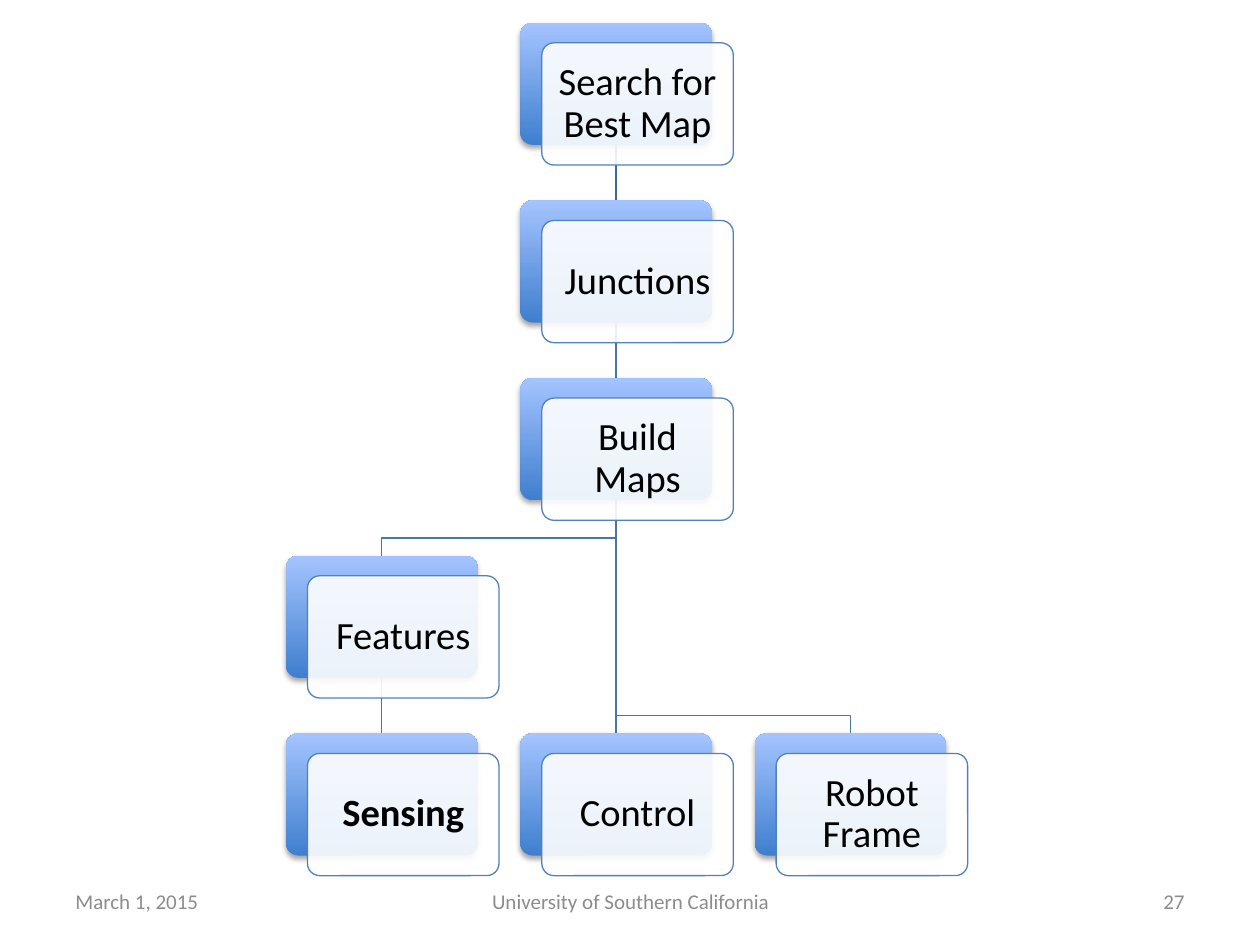
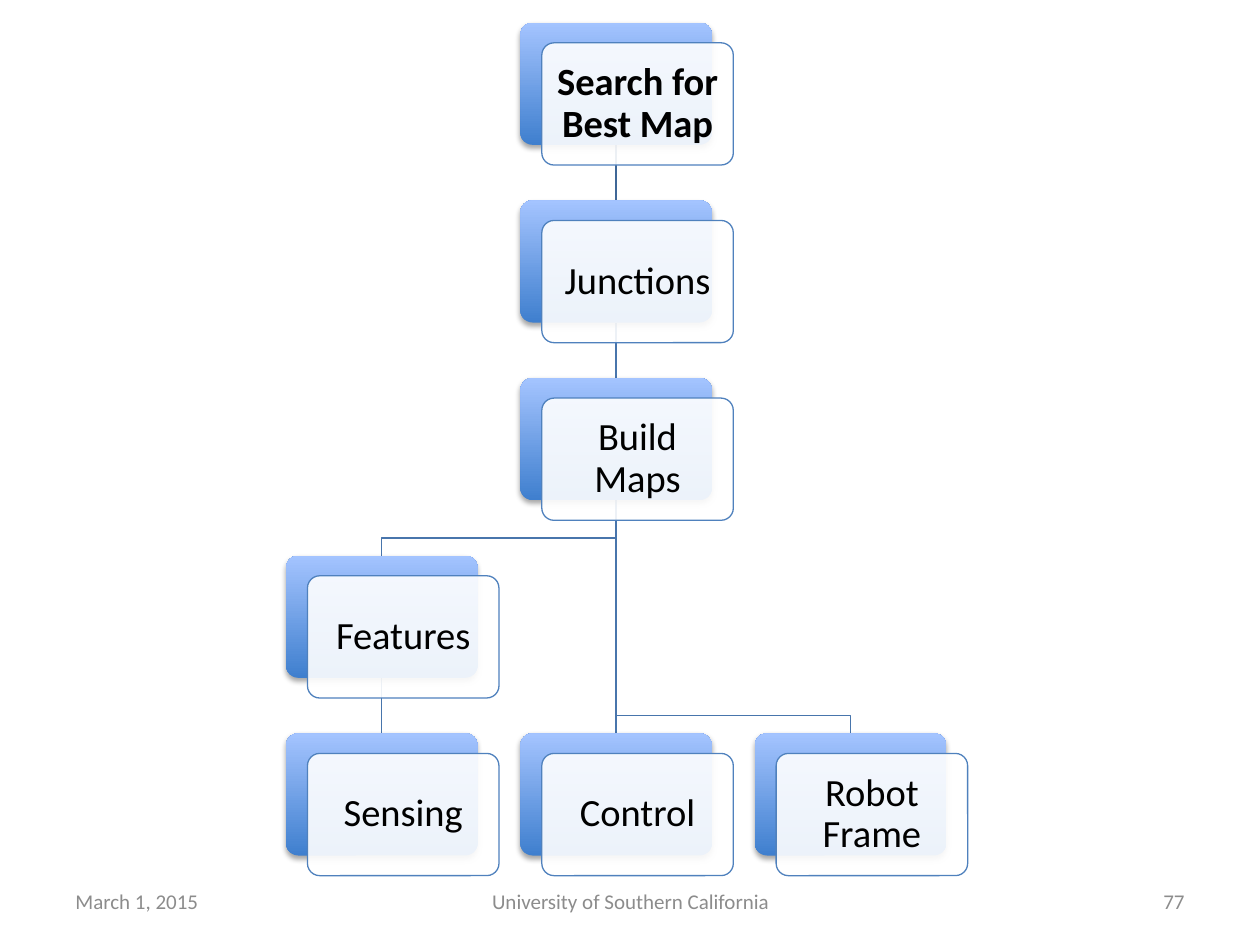
"""Build two slides showing the map search hierarchy with one step in bold."""
from lxml.etree import SubElement
from pptx import Presentation
from pptx.dml.color import RGBColor
from pptx.enum.shapes import MSO_CONNECTOR, MSO_SHAPE
from pptx.enum.text import MSO_ANCHOR, PP_ALIGN
from pptx.oxml.ns import qn
from pptx.util import Inches, Pt

FONT = "Calibri"
BLACK, WHITE, GRAY = "000000", "FFFFFF", "8C8C8C"
GRADIENT = ["3F7FCE", "A4C4FF"]
CARD_LINE, TOP_LINK, LOWER_LINK = "4F81BD", "3F6797", "4875AC"

LEFT, TOP = 2.27, 0.18
COLUMN_STEP, ROW_STEP = 1.86, 1.41
BOX_WIDTH, BOX_HEIGHT = 1.52, 0.97
CARD_SHIFT_X, CARD_SHIFT_Y = 0.17, 0.16
ELBOW_GAP = 0.14
INSET = 0.08

NODES = {
    "Search for Best Map": (1, 0),
    "Junctions": (1, 1),
    "Build Maps": (1, 2),
    "Features": (0, 3),
    "Sensing": (0, 4),
    "Control": (1, 4),
    "Robot Frame": (2, 4),
}
LINKS = [
    ("Build Maps", "Robot Frame", LOWER_LINK),
    ("Build Maps", "Control", LOWER_LINK),
    ("Features", "Sensing", LOWER_LINK),
    ("Build Maps", "Features", LOWER_LINK),
    ("Junctions", "Build Maps", LOWER_LINK),
    ("Search for Best Map", "Junctions", TOP_LINK),
]
SLIDES = [("27", "Sensing"), ("77", "Search for Best Map")]


def color(value):
    return RGBColor.from_string(value)


def write_text(shape, text, *, size, fill, align, bold=False, spacing=1.0):
    frame = shape.text_frame
    frame.word_wrap = True
    frame.vertical_anchor = MSO_ANCHOR.MIDDLE
    paragraph = frame.paragraphs[0]
    paragraph.alignment = align
    paragraph.line_spacing = spacing
    run = paragraph.add_run()
    run.text = text
    run.font.name = FONT
    run.font.size = Pt(size)
    run.font.bold = bold
    run.font.color.rgb = color(fill)


presentation = Presentation()
presentation.slide_width, presentation.slide_height = Inches(10), Inches(7.5)

for number, current_step in SLIDES:
    slide = presentation.slides.add_slide(presentation.slide_layouts[6])

    footers = [
        ("March 1, 2015", 0.5, 2.33, PP_ALIGN.LEFT),
        ("University of Southern California", 3.42, 3.17, PP_ALIGN.CENTER),
        (number, 7.17, 2.33, PP_ALIGN.RIGHT),
    ]
    for text, left, width, align in footers:
        footer = slide.shapes.add_textbox(Inches(left), Inches(6.95), Inches(width), Inches(0.4))
        write_text(footer, text, size=12, fill=GRAY, align=align)

    for parent, child, link_color in LINKS:
        parent_column, parent_row = NODES[parent]
        child_column, child_row = NODES[child]
        start_x = Inches(LEFT + parent_column * COLUMN_STEP + BOX_WIDTH / 2)
        start_y = Inches(TOP + parent_row * ROW_STEP + BOX_HEIGHT)
        end_x = Inches(LEFT + child_column * COLUMN_STEP + BOX_WIDTH / 2)
        end_y = Inches(TOP + child_row * ROW_STEP)
        if parent_column == child_column:
            link = slide.shapes.add_connector(MSO_CONNECTOR.STRAIGHT, start_x, start_y, end_x, end_y)
            SubElement(link._element.spPr, qn("a:effectLst"))
        else:
            elbow_y = end_y - Inches(ELBOW_GAP)
            builder = slide.shapes.build_freeform(start_x, start_y)
            builder.add_line_segments([(start_x, elbow_y), (end_x, elbow_y), (end_x, end_y)], close=False)
            link = builder.convert_to_shape()
            link.fill.background()
            link.shadow.inherit = False
        link.line.color.rgb = color(link_color)
        link.line.width = Pt(0.75)

    for step, (column, row) in NODES.items():
        left, top = LEFT + column * COLUMN_STEP, TOP + row * ROW_STEP
        back, card = [
            slide.shapes.add_shape(
                MSO_SHAPE.ROUNDED_RECTANGLE,
                Inches(left + shift_x), Inches(top + shift_y), Inches(BOX_WIDTH), Inches(BOX_HEIGHT),
            )
            for shift_x, shift_y in [(0, 0), (CARD_SHIFT_X, CARD_SHIFT_Y)]
        ]
        for shape in (back, card):
            shape.adjustments[0] = 0.1
            shape.shadow.inherit = False

        back.line.fill.background()
        back.fill.gradient()
        back.fill.gradient_angle = 90
        for stop, stop_color in zip(back.fill.gradient_stops, GRADIENT):
            stop.color.rgb = color(stop_color)
        effects = back._element.spPr.find(qn("a:effectLst"))
        shadow = SubElement(
            effects, qn("a:outerShdw"),
            blurRad=str(Pt(3.1)), dist=str(Pt(1.8)), dir="5400000", rotWithShape="0",
        )
        shadow_color = SubElement(shadow, qn("a:srgbClr"), val=BLACK)
        SubElement(shadow_color, qn("a:alpha"), val="35000")

        card.fill.solid()
        card.fill.fore_color.rgb = color(WHITE)
        card_fill = card._element.spPr.find(qn("a:solidFill"))
        SubElement(card_fill[0], qn("a:alpha"), val="90000")
        card.line.color.rgb = color(CARD_LINE)
        card.line.width = Pt(0.75)
        frame = card.text_frame
        frame.margin_left = frame.margin_right = Inches(INSET)
        frame.margin_top = frame.margin_bottom = Inches(INSET)
        write_text(
            card, step, size=22, fill=BLACK, align=PP_ALIGN.CENTER,
            bold=step == current_step, spacing=0.9,
        )

presentation.save("out.pptx")
